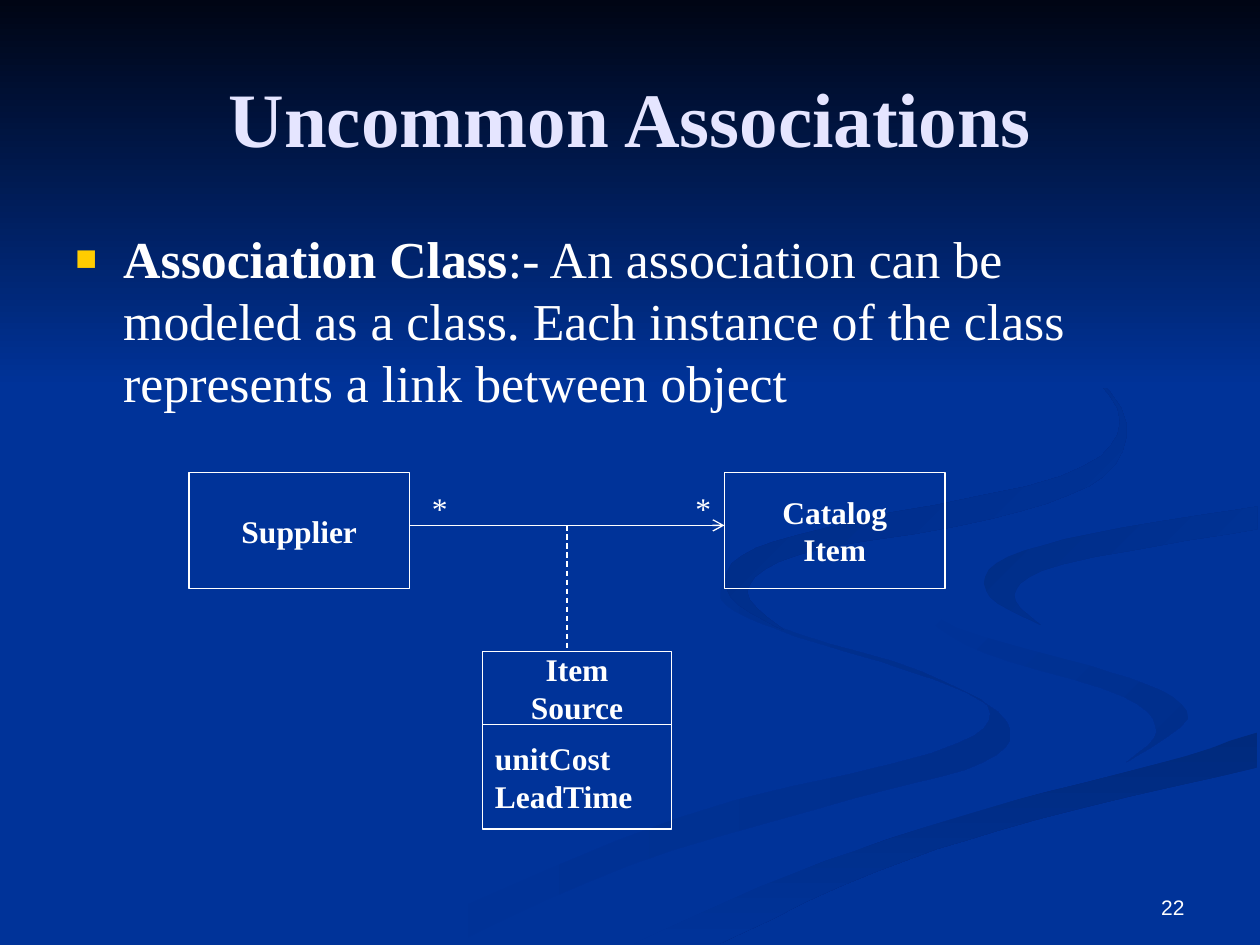
from pptx import Presentation
from pptx.dml.color import RGBColor
from pptx.enum.dml import MSO_LINE
from pptx.enum.shapes import MSO_CONNECTOR, MSO_SHAPE
from pptx.enum.text import MSO_ANCHOR, PP_ALIGN
from pptx.oxml.ns import qn
from pptx.util import Inches, Pt
from lxml import etree

WHITE = RGBColor(0xFF, 0xFF, 0xFF)
LILAC = RGBColor(0xE5, 0xE5, 0xFF)
BLUE = RGBColor(0x00, 0x33, 0x99)
NIGHT = RGBColor(0x00, 0x05, 0x14)
DUSK = RGBColor(0x00, 0x2E, 0x8B)
SHADE = RGBColor(0x00, 0x2A, 0x7D)
HAZE = RGBColor(0x00, 0x2D, 0x86)
MIST = RGBColor(0x00, 0x2B, 0x82)
SERIF = "Times New Roman"
LEFT, MID, RIGHT = PP_ALIGN.LEFT, PP_ALIGN.CENTER, PP_ALIGN.RIGHT
TOP, CENTER, BOTTOM = MSO_ANCHOR.TOP, MSO_ANCHOR.MIDDLE, MSO_ANCHOR.BOTTOM

deck = Presentation()
deck.slide_width, deck.slide_height = Inches(10), Inches(7.5)
slide = deck.slides.add_slide(deck.slide_layouts[6])
shapes = slide.shapes
slide.background.fill.solid()
slide.background.fill.fore_color.rgb = BLUE


def paint(shape, first, last, angle):
    """Fill with a linear gradient, its angle measured clockwise."""
    shape.shadow.inherit = False
    shape.line.fill.background()
    shape.fill.gradient()
    shape.fill.gradient_angle = (360 - angle) % 360
    for stop, color in zip(shape.fill.gradient_stops, (first, last)):
        stop.color.rgb = color


def write(shape, text, size, align=LEFT, anchor=TOP, bold=False,
          color=WHITE, font=SERIF, wrap=True):
    frame = shape.text_frame
    frame.text = text
    frame.word_wrap = wrap
    frame.vertical_anchor = anchor
    for para in frame.paragraphs:
        para.alignment = align
        for run in para.runs:
            run.font.name, run.font.size = font, Pt(size)
            run.font.bold, run.font.color.rgb = bold, color
    return frame.paragraphs[0]


# Background ribbons: two edges each, in hundredths of an inch
ribbons = [
    (BLUE, DUSK, 0,
     [(575, 459), (576, 480), (631, 505), (741, 539), (786, 566),
      (739, 598), (539, 649), (300, 749)],
     [(361, 749), (499, 687), (676, 634), (780, 605), (799, 573),
      (731, 533), (614, 496), (575, 459)]),
    (BLUE, DUSK, 45,
     [(724, 464), (745, 490), (850, 524), (919, 547), (943, 570), (894, 605)],
     [(894, 605), (918, 581), (892, 553), (781, 518), (733, 488), (724, 464)]),
    (SHADE, BLUE, 90,
     [(503, 749), (571, 749)],
     [(571, 749), (695, 692), (821, 651), (998, 609)],
     [(998, 581), (920, 606), (764, 647), (630, 693), (503, 749)]),
    (BLUE, BLUE, 0,
     [(725, 464), (759, 498), (905, 540), (943, 570), (911, 600),
      (743, 643), (477, 749)],
     [(503, 749), (630, 693), (765, 647), (999, 581)],
     [(999, 538), (866, 509), (781, 463), (850, 427), (999, 402)],
     [(999, 387), (808, 417), (725, 464)]),
    (HAZE, BLUE, 45,
     [(998, 402), (865, 424), (791, 447), (786, 474), (826, 496)],
     [(826, 496), (805, 472), (843, 448), (998, 420)]),
    (MIST, BLUE, 45,
     [(762, 233), (846, 279), (889, 335), (842, 378), (676, 414),
      (589, 441), (580, 474), (622, 500)],
     [(622, 500), (593, 470), (635, 440), (786, 412), (876, 378),
      (890, 324), (821, 261), (762, 233)]),
]
steps = [n / 5 for n in range(6)]
for first, last, angle, *edges in ribbons:
    curve = []
    for edge in edges:
        # Smooth each edge with a spline through its points
        ends = [edge[0], *edge, edge[-1]]
        for quad in zip(ends, ends[1:], ends[2:], ends[3:]):
            for t in steps:
                curve.append([
                    b + t * (c - a) / 2
                    + t * t * (2 * a - 5 * b + 4 * c - d) / 2
                    + t ** 3 * (3 * b - a - 3 * c + d) / 2
                    for a, b, c, d in zip(*quad)])
    path = shapes.build_freeform(*curve[0], scale=Inches(0.01))
    path.add_line_segments(curve[1:], close=True)
    paint(path.convert_to_shape(), first, last, angle)

# Dark sky fading into the background
sky = shapes.add_shape(MSO_SHAPE.RECTANGLE, 0, 0, Inches(10), Inches(3.08))
paint(sky, NIGHT, BLUE, 90)

# Bulleted definition
body = shapes.add_textbox(Inches(0.5), Inches(1.75), Inches(9), Inches(1.92))
para = write(body, "Association Class", 29.6, bold=True)
para.space_before = Pt(8)
rest = para.add_run()
rest.text = (":- An association can be modeled as a class. "
             "Each instance of the class represents a link between object")
rest.font.name, rest.font.size = SERIF, Pt(29.6)
rest.font.color.rgb = WHITE
props = para._p.get_or_add_pPr()
props.set("marL", str(Inches(0.38)))
props.set("indent", str(-Inches(0.38)))
tint = etree.SubElement(props, qn("a:buClr"))
etree.SubElement(tint, qn("a:srgbClr"), val="FFCC00")
etree.SubElement(props, qn("a:buSzPct"), val="70000")
etree.SubElement(props, qn("a:buFont"), typeface="Arial")
etree.SubElement(props, qn("a:buChar"), char="■")

# Title
title = shapes.add_textbox(Inches(0.5), Inches(0.3), Inches(9), Inches(1.25))
write(title, "Uncommon Associations", 44, MID, CENTER, True, LILAC)

# Class boxes
boxes = [
    (1.5, 3.75, 1.75, 0.92, "Supplier", MID),
    (5.75, 3.75, 1.75, 0.92, "Catalog\nItem", MID),
    (3.83, 5.17, 1.5, 0.58, "Item\nSource", MID),
    (3.83, 5.75, 1.5, 0.83, "unitCost\nLeadTime", LEFT),
]
for x, y, w, h, text, align in boxes:
    box = shapes.add_shape(MSO_SHAPE.RECTANGLE, Inches(x), Inches(y),
                           Inches(w), Inches(h))
    box.shadow.inherit = False
    box.fill.background()
    box.line.color.rgb, box.line.width = WHITE, Pt(0.75)
    write(box, text, 18, align, CENTER, True, wrap=False)

# Association arrow and the dashed link to its class
for x, y, end_x, end_y, dashed in [(3.25, 4.17, 5.75, 4.17, False),
                                   (4.5, 4.17, 4.5, 5.17, True)]:
    link = shapes.add_connector(MSO_CONNECTOR.STRAIGHT, Inches(x), Inches(y),
                                Inches(end_x), Inches(end_y))
    link.line.color.rgb, link.line.width = WHITE, Pt(0.75)
    if dashed:
        link.line.dash_style = MSO_LINE.DASH
    else:
        stroke = link._element.spPr.find(qn("a:ln"))
        etree.SubElement(stroke, qn("a:tailEnd"), type="arrow")
    etree.SubElement(link._element.spPr, qn("a:effectLst"))

# Multiplicities
for x in (5.42, 3.33):
    star = shapes.add_textbox(Inches(x), Inches(3.83), Inches(0.33), Inches(0.4))
    write(star, "*", 18).space_before = Pt(11.2)

# Slide number
number = shapes.add_textbox(Inches(7.17), Inches(6.83), Inches(2.33), Inches(0.52))
write(number, "22", 12, RIGHT, BOTTOM, font="Arial")

deck.save("out.pptx")
